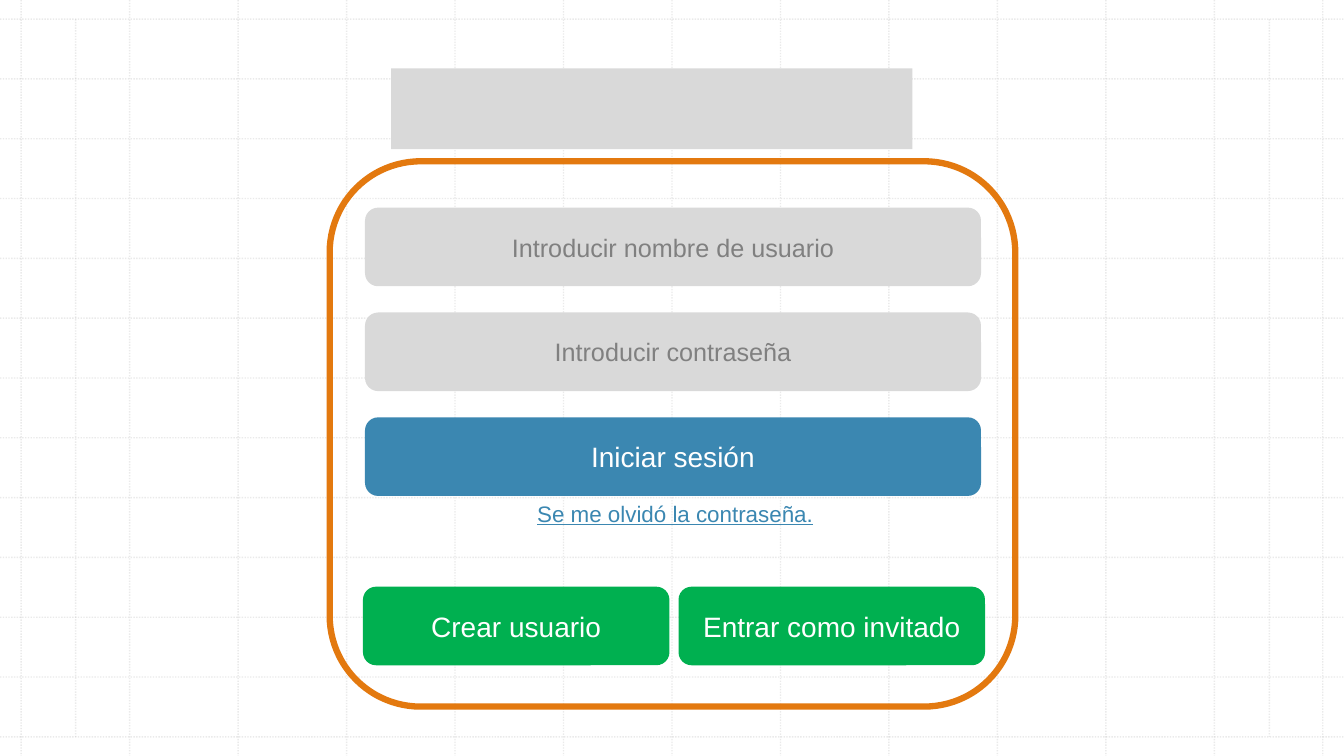
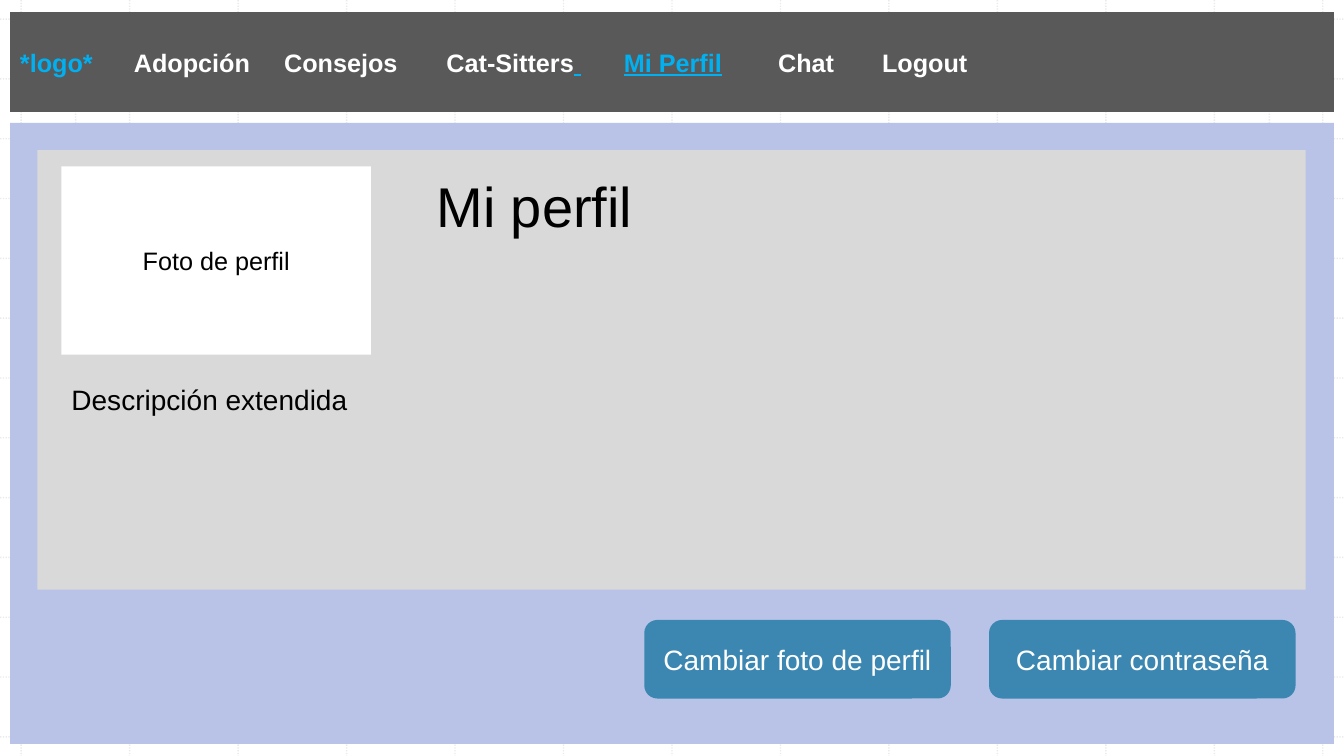
from dataclasses import dataclass

from lxml.etree import SubElement
from pptx import Presentation
from pptx.dml.color import RGBColor
from pptx.enum.dml import MSO_LINE
from pptx.enum.shapes import MSO_CONNECTOR, MSO_SHAPE
from pptx.enum.text import MSO_ANCHOR, MSO_AUTO_SIZE, PP_ALIGN
from pptx.oxml import parse_xml
from pptx.oxml.ns import nsdecls, qn
from pptx.util import Inches, Pt


@dataclass(frozen=True)
class Theme:
    """Colours, font and type sizes shared by the slides."""
    font: str = "Arial"
    white: str = "FFFFFF"
    black: str = "000000"
    grid: str = "BCBCBC"
    orange: str = "E3790F"
    field: str = "D9D9D9"
    hint: str = "808080"
    blue: str = "3B87B1"
    green: str = "00B050"
    lilac: str = "B8C3E7"
    bar: str = "595959"
    accent: str = "00B0F0"
    heading: int = 40
    button: int = 20
    label: int = 18
    link: int = 16


T = Theme()
W, H = 13.33, 7.5
BTN_W, BTN_H = 3.04, 0.78


def rgb(color):
    """Turn a hex string into a colour."""
    return RGBColor.from_string(color)


def style(p, size, color, align=PP_ALIGN.LEFT, bold=False, underline=False):
    """Set the font and alignment of a paragraph."""
    p.alignment = align
    f = p.font
    f.name, f.size, f.bold, f.underline = T.font, Pt(size), bold, underline
    f.color.rgb = rgb(color)


def add_box(s, box, fill=None, text="", size=T.button, color=T.white, kind=MSO_SHAPE.RECTANGLE):
    """Add a flat shape with centred text."""
    sp = s.shapes.add_shape(kind, *map(Inches, box))
    sp.shadow.inherit = False
    sp.line.fill.background()
    if fill:
        sp.fill.solid()
        sp.fill.fore_color.rgb = rgb(fill)
    else:
        sp.fill.background()
    tf = sp.text_frame
    tf.word_wrap = True
    tf.vertical_anchor = MSO_ANCHOR.MIDDLE
    if text:
        p = tf.paragraphs[0]
        p.text = text
        style(p, size, color, PP_ALIGN.CENTER)
    return sp


def add_button(s, box, fill, text, size=T.button, color=T.white):
    """Add a rounded button or field."""
    return add_box(s, box, fill, text, size, color, MSO_SHAPE.ROUNDED_RECTANGLE)


def add_label(s, box, text, size, color, underline=False):
    """Add a one-line text box."""
    tf = s.shapes.add_textbox(*map(Inches, box)).text_frame
    tf.word_wrap = False
    p = tf.paragraphs[0]
    p.text = text
    style(p, size, color, underline=underline)


def set_title(s, box, text):
    """Fill the title placeholder and bring it to the front."""
    sp = s.shapes.title
    s.shapes.element.append(sp.element)
    sp.left, sp.top, sp.width, sp.height = map(Inches, box)
    tf = sp.text_frame
    tf.word_wrap = False
    tf.auto_size = MSO_AUTO_SIZE.NONE
    tf.vertical_anchor = MSO_ANCHOR.TOP
    p = tf.paragraphs[0]
    p.text = text
    style(p, T.heading, T.black, PP_ALIGN.CENTER)


def add_grid(prs, s):
    """Draw the dotted grid and hand it to the slide master."""
    left, right, top, bottom, n = 0.21, 13.12, 0.19, 7.31, 12
    xs = [left + (right - left) * i / n for i in range(n + 1)]
    ys = [top + (bottom - top) * i / n for i in range(n + 1)]
    lines = [(x, 0, x, H) for x in xs] + [(0, y, W, y) for y in ys]
    lines += [(x, top, x, bottom) for x in (0.75, 12.59)]
    for i, ends in enumerate(lines):
        cxn = s.shapes.add_connector(MSO_CONNECTOR.STRAIGHT, *map(Inches, ends))
        cxn.line.color.rgb = rgb(T.grid)
        cxn.line.width = Pt(1)
        cxn.line.dash_style = MSO_LINE.ROUND_DOT
        el = cxn.element
        SubElement(next(el.spPr.iter(qn("a:srgbClr"))), qn("a:alpha")).set("val", "30000")
        SubElement(el.spPr, qn("a:effectLst"))
        el.nvCxnSpPr.cNvPr.set("id", str(100 + i))
        prs.slide_master.shapes.element.insert(2 + i, el)


def add_login(s, box):
    """Build the login panel under a plain header block."""
    x, y, w, h = box
    add_box(s, (x + 0.61, y - 0.92, 5.17, 0.8), T.field)
    frame = add_button(s, box, None, "")
    frame.line.color.rgb = rgb(T.orange)
    frame.line.width = Pt(4.5)
    rows = [("Introducir nombre de usuario", T.field, T.label, T.hint),
            ("Introducir contraseña", T.field, T.label, T.hint),
            ("Iniciar sesión", T.blue, T.button, T.white)]
    for i, (text, fill, size, color) in enumerate(rows):
        add_button(s, (x + 0.35, y + 0.46 + 1.04 * i, 6.11, BTN_H), fill, text, size, color)
    for i, text in enumerate(("Crear usuario", "Entrar como invitado")):
        add_button(s, (x + 0.33 + 3.13 * i, y + 4.22, BTN_W, BTN_H), T.green, text)
    add_label(s, (x + 1.96, y + 3.31, 3.01, 0.37), "Se me olvidó la contraseña.",
              T.link, T.blue, True)


def add_nav(s, box):
    """Build the menu bar, spaced by tab stops."""
    p = add_box(s, box, T.bar).text_frame.paragraphs[0]
    style(p, T.label, T.white, bold=True)
    for text, color, underline in (("*logo*", T.accent, False),
                                   ("\tAdopción\tConsejos\tCat-Sitters", T.white, False),
                                   (" ", T.accent, True),
                                   ("\t", T.white, False),
                                   ("Mi Perfil", T.accent, True),
                                   ("\tChat\tLogout", T.white, False)):
        r = p.add_run()
        r.text = text
        r.font.color.rgb = rgb(color)
        r.font.underline = underline
    tabs = parse_xml(f'<a:tabLst {nsdecls("a")}/>')
    for pos in (1.13, 2.62, 4.23, 5.99, 7.52, 8.55):
        tab = SubElement(tabs, qn("a:tab"))
        tab.set("pos", str(Inches(pos)))
        tab.set("algn", "l")
    p._p.get_or_add_pPr().insert(0, tabs)


def add_profile(s, box):
    """Build the profile panel with its photo and buttons."""
    x, y, w, h = box
    add_box(s, box, T.lilac)
    add_box(s, (x + 0.27, y + 0.27, w - 0.55, 4.36), T.field)
    set_title(s, (x + 4.05, y + 0.43, 2.3, 1.38), "Mi perfil")
    add_box(s, (x + 0.51, y + 0.43, 3.07, 1.87), T.white, "Foto de perfil", T.label, T.black)
    add_label(s, (x + 0.51, y + 2.53, 2.99, 0.44), "Descripción extendida", T.button, T.black)
    for i, text in enumerate(("Cambiar foto de perfil", "Cambiar contraseña")):
        add_button(s, (x + 6.29 + 3.42 * i, y + 4.93, BTN_W, BTN_H), T.blue, text)


def main():
    """Build and save the two slides."""
    prs = Presentation()
    prs.slide_width, prs.slide_height = Inches(W), Inches(H)
    title_only, blank = prs.slide_layouts[5], prs.slide_layouts[6]
    login = prs.slides.add_slide(blank)
    profile = prs.slides.add_slide(title_only)
    add_grid(prs, login)
    add_login(login, (3.27, 1.6, 6.8, 5.41))
    add_profile(profile, (0.1, 1.22, 13.13, 6.16))
    add_nav(profile, (0.1, 0.12, 13.13, 0.99))
    prs.save("out.pptx")


if __name__ == "__main__":
    main()
